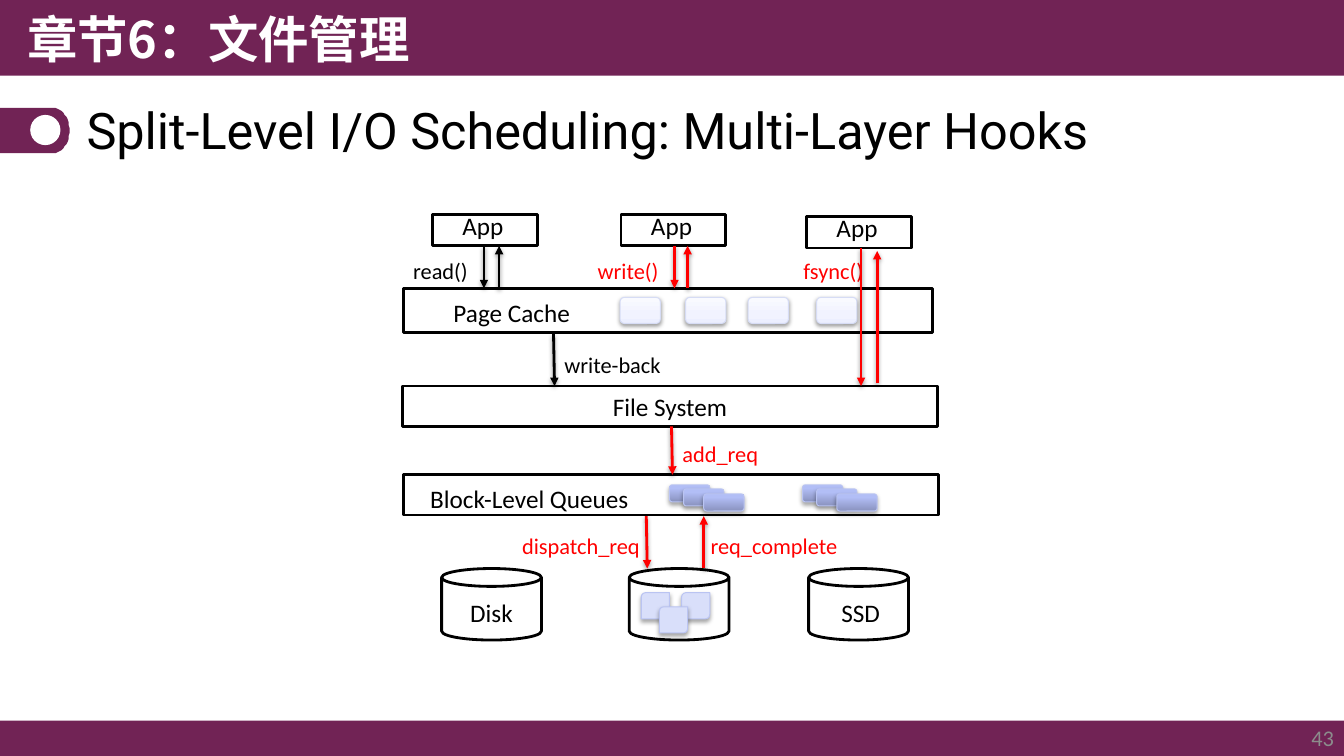
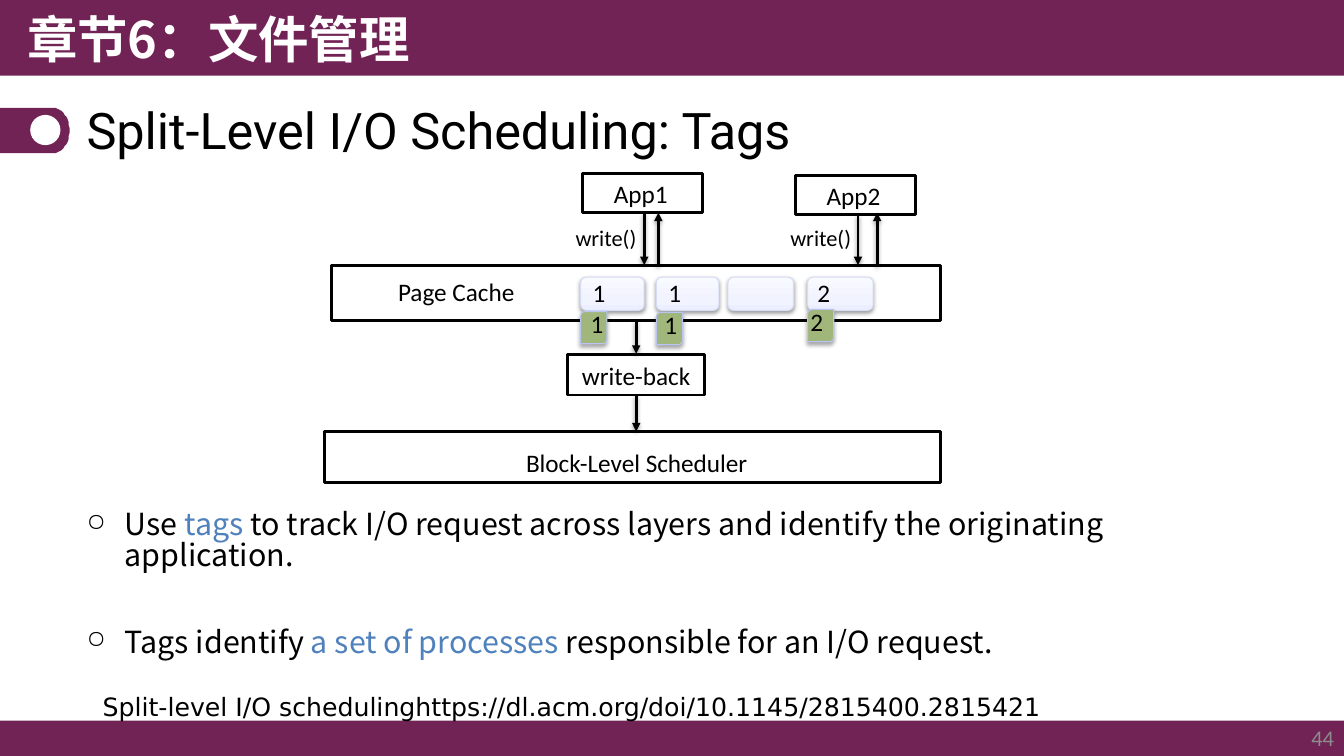
from dataclasses import dataclass
from math import cos, pi, sin

from lxml.etree import SubElement
from pptx import Presentation
from pptx.dml.color import RGBColor
from pptx.enum.shapes import MSO_CONNECTOR as Conn, MSO_SHAPE as Shape
from pptx.enum.text import MSO_ANCHOR as Anchor, PP_ALIGN as Align
from pptx.oxml.ns import qn
from pptx.util import Inches, Pt

# Grid: 1333 columns by 750 rows, square cells
COLS, ROWS, CELL = 1333, 750, Inches(0.01)

PLUM, WHITE, BLACK, RED = "712355", "FFFFFF", "000000", "FF0000"
GREY, BLUE, GREEN, LILAC = "8C8C8C", "4F81BD", "A1B67A", "D9DFFA"
SANS, HEAN, ROBOTO, DEJAVU = "Calibri", "Noto Sans CJK SC", "Roboto", "DejaVu Sans"


@dataclass(frozen=True)
class Style:
    fill: str | None = WHITE
    line: str | None = BLACK
    width: float = 2
    stops: tuple[tuple[int, str], ...] = ()
    shadow: tuple[int, float] | None = None  # opacity %, distance pt


@dataclass(frozen=True)
class Box:
    x: float
    y: float
    w: float
    h: float


@dataclass(frozen=True)
class Label:
    text: str
    x: float
    y: float
    w: float
    color: str = BLACK
    size: float = 16
    align: Align = Align.LEFT


@dataclass(frozen=True)
class Arrow:
    x1: float
    y1: float
    x2: float
    y2: float
    color: str = BLACK


SOFT, FIRM = (38, 1.6), (35, 1.8)
FRAME = Style()
HOLLOW = Style(fill=None)
BAND = Style(fill=PLUM, line=None)
DOT = Style(line=None)
PAGE = Style(line="D6DCF5", width=0.75, shadow=SOFT,
             stops=((0, "ECEFFF"), (35, "F1F3FF"), (100, "F9FAFF")))
REQUEST = Style(line="BAC4F2", width=0.75, shadow=FIRM,
                stops=((0, "8992BE"), (80, "B2BEF6"), (100, "B2BEF9")))
BLOCK = Style(fill=LILAC, line="BAC4F2", width=0.75, shadow=FIRM)
TAG = Style(fill=GREEN, line="BAC4F2", width=0.75, shadow=FIRM)


def rgb(color: str) -> RGBColor:
    return RGBColor.from_string(color)


def cells(*values: float) -> list[int]:
    return [round(v * CELL) for v in values]


# Shapes, arrows and text
def add_shadow(effects, opacity: int, dist: float) -> None:
    sh = SubElement(effects, qn("a:outerShdw"), blurRad=str(Pt(3.1)), dist=str(Pt(dist)),
                    dir="5400000", rotWithShape="0")
    clr = SubElement(sh, qn("a:srgbClr"), val=BLACK)
    SubElement(clr, qn("a:alpha"), val=str(opacity * 1000))


def paint(sp, style: Style) -> None:
    if style.stops:
        sp.fill.gradient()
        sp.fill.gradient_angle = 90
        gs_list = sp.element.spPr.find(".//" + qn("a:gsLst"))
        for old in list(gs_list):
            gs_list.remove(old)
        for pos, color in style.stops:
            gs = SubElement(gs_list, qn("a:gs"), pos=str(pos * 1000))
            SubElement(gs, qn("a:srgbClr"), val=color)
    elif style.fill:
        sp.fill.solid()
        sp.fill.fore_color.rgb = rgb(style.fill)
    else:
        sp.fill.background()
    if style.line:
        sp.line.color.rgb = rgb(style.line)
        sp.line.width = Pt(style.width)
    else:
        sp.line.fill.background()
    sp.shadow.inherit = False
    if style.shadow:
        add_shadow(sp.element.spPr.find(qn("a:effectLst")), *style.shadow)


def draw(s, box: Box, style: Style = FRAME, kind: Shape = Shape.RECTANGLE):
    sp = s.shapes.add_shape(kind, *cells(box.x, box.y, box.w, box.h))
    paint(sp, style)
    return sp


def draw_arrow(s, a: Arrow) -> None:
    c = s.shapes.add_connector(Conn.STRAIGHT, *cells(a.x1, a.y1, a.x2, a.y2))
    c.line.color.rgb = rgb(a.color)
    c.line.width = Pt(2)
    SubElement(c.line._get_or_add_ln(), qn("a:tailEnd"), type="triangle")
    add_shadow(SubElement(c._element.spPr, qn("a:effectLst")), *SOFT)


def add_run(p, text: str, *, size: float = 18, font: str = SANS, color: str = BLACK,
            bold: bool = False) -> None:
    r = p.add_run()
    r.text = text
    r.font.size, r.font.bold = Pt(size), bold
    r.font.name = font
    r.font.color.rgb = rgb(color)
    SubElement(r.font._element, qn("a:ea"), typeface=font)


def write(tf, text: str, *, align: Align = Align.LEFT, anchor: Anchor = Anchor.TOP,
          spacing: float | None = None, **fmt) -> None:
    tf.word_wrap = True
    tf.vertical_anchor = anchor
    p = tf.paragraphs[0]
    p.alignment = align
    if spacing:
        p.line_spacing = spacing
    add_run(p, text, **fmt)


def add_text(s, text: str, box: Box, **fmt) -> None:
    tb = s.shapes.add_textbox(*cells(box.x, box.y, box.w, box.h))
    write(tb.text_frame, text, **fmt)


def add_labels(s, labels: list[Label]) -> None:
    for lb in labels:
        add_text(s, lb.text, Box(lb.x, lb.y, lb.w, 40 if lb.size == 18 else 37),
                 color=lb.color, size=lb.size, align=lb.align)


def caption(text: str, x: float, y: float, w: float) -> Label:
    return Label(text, x, y, w, size=18, align=Align.CENTER)


def add_bullets(s, box: Box, items: list[list[tuple[str, str]]]) -> None:
    tf = s.shapes.add_textbox(*cells(box.x, box.y, box.w, box.h)).text_frame
    tf.word_wrap = True
    for i, runs in enumerate(items):
        p = tf.add_paragraph() if i else tf.paragraphs[0]
        ppr = p._p.get_or_add_pPr()
        ppr.set("marL", str(Inches(0.38)))
        ppr.set("indent", str(-Inches(0.38)))
        SubElement(SubElement(ppr, qn("a:buClr")), qn("a:srgbClr"), val=BLACK)
        SubElement(ppr, qn("a:buSzPct"), val="80000")
        SubElement(ppr, qn("a:buChar"), char="○")
        p.line_spacing = 0.84
        p.space_before = Pt(4.3 if i else 0)
        p.space_after = Pt(36)
        for text, color in runs:
            add_run(p, text, size=21.7, font=HEAN, color=color)


# Bands, marker, title and page number
def new_slide(prs, title: str, number: int):
    s = prs.slides.add_slide(prs.slide_layouts[6])
    draw(s, Box(0, 715, COLS, 35), BAND)
    draw(s, Box(0, 0, COLS, 75), BAND)
    arc = [(52.5 + 16.5 * cos(t), 129.5 + 22.5 * sin(t))
           for t in (pi * (i / 24 - 0.5) for i in range(25))]
    fb = s.shapes.build_freeform(0, 107, scale=CELL)
    fb.add_line_segments([*arc, (0, 152)], close=True)
    paint(fb.convert_to_shape(), BAND)
    draw(s, Box(30, 114, 30, 30), DOT, Shape.OVAL)
    add_text(s, "章节6：文件管理", Box(17, 0, 667, 77), anchor=Anchor.MIDDLE,
             size=36, font=HEAN, color=WHITE, bold=True)
    add_text(s, str(number), Box(1033, 714, 300, 36), anchor=Anchor.MIDDLE,
             align=Align.RIGHT, size=16, color=GREY)
    add_text(s, title, Box(76, 95, 1181, 74), anchor=Anchor.MIDDLE, spacing=0.9,
             size=36, font=ROBOTO)
    return s


def build_hooks(prs) -> None:
    s = new_slide(prs, "Split-Level I/O Scheduling: Multi-Layer Hooks", 43)
    # Layers
    for box in (Box(400, 286, 525, 44), Box(399, 383, 531, 40), Box(400, 471, 531, 40)):
        draw(s, box)
    for x, y in ((429, 213), (616, 213), (800, 215)):
        draw(s, Box(x, y, 104, 31))
        add_labels(s, [caption("App", x - 2, y - 9, 104)])
    # Cached pages, queued requests, devices and their blocks
    for x in (615, 680, 742, 810):
        draw(s, Box(x, 295, 40, 26), PAGE, Shape.ROUNDED_RECTANGLE)
    for x in (664, 796):
        for dx, dy in ((0, 0), (14, 4), (34, 9)):
            draw(s, Box(x + dx, 481 + dy, 40, 17), REQUEST, Shape.ROUNDED_RECTANGLE)
    for x in (438, 624, 802):
        draw(s, Box(x, 564, 99, 71), FRAME, Shape.CAN)
    for x, y in ((636, 588), (676, 588), (654, 602)):
        draw(s, Box(x, y, 28, 26), BLOCK, Shape.ROUND_2_DIAG_RECTANGLE)
    add_labels(s, [
        caption("Page Cache", 399, 290, 217),
        caption("File System", 399, 383, 531),
        caption("Block-Level Queues", 401, 475, 248),
        caption("Disk", 443, 588, 89),
        caption("SSD", 809, 588, 89),
        Label("read()", 400, 250, 80),
        Label("write()", 583, 250, 90, RED),
        Label("fsync()", 787, 250, 81, RED),
        Label("write-back", 550, 343, 132),
        Label("add_req", 667, 432, 102, RED),
        Label("dispatch_req", 508, 523, 148, RED),
        Label("req_complete", 695, 523, 155, RED),
    ])
    # Calls between layers
    for a in (Arrow(480, 244, 480, 286), Arrow(495, 286, 495, 244),
              Arrow(669, 244, 669, 286, RED), Arrow(682, 286, 682, 244, RED),
              Arrow(854, 246, 854, 383, RED), Arrow(870, 380, 870, 249, RED),
              Arrow(549, 331, 550, 383), Arrow(666, 423, 667, 471, RED),
              Arrow(641, 512, 642, 564, RED), Arrow(698, 564, 698, 512, RED)):
        draw_arrow(s, a)


def build_tags(prs) -> None:
    s = new_slide(prs, "Split-Level I/O Scheduling: Tags", 44)
    # Layers
    draw(s, Box(329, 263, 604, 55))
    draw(s, Box(322, 428, 611, 51))
    for name, x, y in (("App1", 578, 172), ("App2", 789, 174)):
        draw(s, Box(x, y, 119, 39))
        add_labels(s, [caption(name, x - 2, y, 119)])
    add_labels(s, [
        caption("Page Cache", 328, 269, 249),
        caption("Block-Level Scheduler", 489, 439, 285),
        Label("write()", 561, 217, 82),
        Label("write()", 774, 217, 93),
    ])
    # Calls between layers
    for a in (Arrow(639, 211, 639, 263), Arrow(653, 263, 653, 211),
              Arrow(851, 213, 851, 263), Arrow(870, 263, 870, 211),
              Arrow(631, 319, 631, 351), Arrow(631, 392, 631, 428)):
        draw_arrow(s, a)
    write_back = draw(s, Box(563, 352, 136, 40), HOLLOW)
    write(write_back.text_frame, "write-back", align=Align.CENTER, anchor=Anchor.MIDDLE)
    # Pages with the tag of the application that wrote them
    for x, w in ((576, 63), (651, 62), (722, 65), (801, 65)):
        draw(s, Box(x, 275, w, 33), PAGE, Shape.ROUNDED_RECTANGLE)
    for owner, x, y, page_dx, tag_dx in (("1", 576, 309, 2, 0), ("1", 651, 310, 2, -2),
                                         ("2", 801, 307, 0, -7)):
        draw(s, Box(x, y, 26, 32), TAG, Shape.ROUND_2_DIAG_RECTANGLE)
        add_labels(s, [Label(owner, x + page_dx, 270, 33, size=18),
                       Label(owner, x + tag_dx, y - 8, 33, size=18)])
    # Explanation and reference
    add_bullets(s, Box(76, 502, 1181, 161), [
        [("Use ", BLACK), ("tags", BLUE),
         (" to track I/O request across layers and identify the originating application.",
          BLACK)],
        [("Tags identify ", BLACK), ("a set of processes ", BLUE),
         ("responsible for an I/O request.", BLACK)],
    ])
    add_text(s, "Split-level I/O schedulinghttps://dl.acm.org/doi/10.1145/2815400.2815421",
             Box(92, 687, 1087, 34), spacing=0.8, font=DEJAVU)


def main() -> None:
    prs = Presentation()
    prs.slide_width, prs.slide_height = cells(COLS, ROWS)
    build_hooks(prs)
    build_tags(prs)
    prs.save("out.pptx")


if __name__ == "__main__":
    main()
